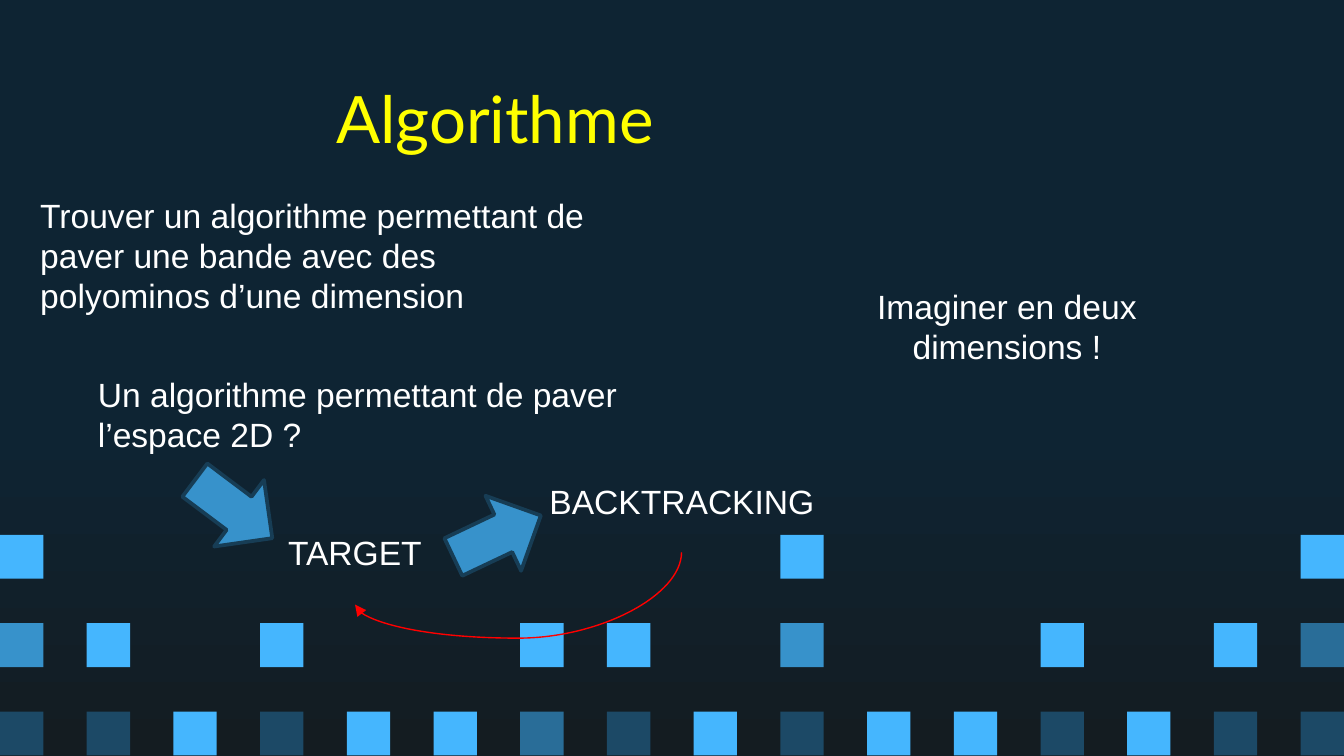
import pptx
import pptx.dml.color
import pptx.enum.shapes
import pptx.enum.text
import pptx.oxml
import pptx.oxml.ns
import pptx.util
from lxml import etree

Cm = pptx.util.Cm
Pt = pptx.util.Pt
Shape = pptx.enum.shapes.MSO_SHAPE
Anchor = pptx.enum.text.MSO_ANCHOR
Align = pptx.enum.text.PP_ALIGN
qn = pptx.oxml.ns.qn

WIDTH, HEIGHT = 25.4, 14.29

# Tile pattern: one letter per column, a dot for an empty place
TILE_COLOURS = {"B": "45B6FE", "M": "3792CB", "S": "296D98", "D": "1C4966"}
TILE_ROWS = [
    "B........B.....B",
    "MB.B..BB.M..B.BS",
    "DDBDBBSDBDBBDBDD",
]
TILE_WIDTH, TILE_HEIGHT = WIDTH / 31, 0.83
TILES_TOP, ROW_PITCH = 10.11, 1.67


def colour(value):
    return pptx.dml.color.RGBColor.from_string(value)


def write(box, text, font="Arial", size=18, ink="FFFFFF", align=Align.LEFT,
          anchor=Anchor.MIDDLE, inset=0.25, after=0):
    frame = box.text_frame
    frame.word_wrap = True
    frame.auto_size = pptx.enum.text.MSO_AUTO_SIZE.NONE
    frame.vertical_anchor = anchor
    frame.margin_left = frame.margin_right = Cm(0.25)
    frame.margin_top = frame.margin_bottom = Cm(inset)
    para = frame.paragraphs[0]
    para.alignment = align
    para.space_before, para.space_after = Pt(0), Pt(after)
    span = para.add_run()
    span.text = text
    span.font.name, span.font.size = font, Pt(size)
    span.font.color.rgb = colour(ink)
    return para


class SlideBuilder:
    arrow_fill, arrow_line, curve_line = "3792CB", "173D55", "FF0000"

    def __init__(self, page):
        self.page = page

    def background(self, top, bottom):
        fill = self.page.background.fill
        fill.gradient()
        fill.gradient_angle = 270
        for stop, value, position in zip(fill.gradient_stops, (top, bottom), (0.56, 1)):
            stop.color.rgb = colour(value)
            stop.position = position

    def placeholder(self, index, place, text, **style):
        box = self.page.placeholders[index]
        box.left, box.top, box.width, box.height = map(Cm, place)
        return write(box, text, **style)

    def plain_body(self, place, text, **style):
        para = self.placeholder(1, place, text, **style)
        properties = para._p.get_or_add_pPr()
        properties.set("marL", "0")
        properties.set("indent", "0")
        etree.SubElement(properties, qn("a:buNone"))

    def text(self, place, text, **style):
        write(self.page.shapes.add_textbox(*map(Cm, place)), text, **style)

    def shape(self, kind, place, fill):
        shape = self.page.shapes.add_shape(kind, *map(Cm, place))
        shape.shadow.inherit = False
        shape.fill.solid()
        shape.fill.fore_color.rgb = colour(fill)
        shape.line.fill.background()
        return shape

    def tiles(self):
        for row, pattern in enumerate(TILE_ROWS):
            for column, letter in enumerate(pattern):
                if letter in TILE_COLOURS:
                    place = (2 * TILE_WIDTH * column, TILES_TOP + ROW_PITCH * row,
                             TILE_WIDTH, TILE_HEIGHT)
                    self.shape(Shape.RECTANGLE, place, TILE_COLOURS[letter])

    def block_arrow(self, left, top, rotation):
        arrow = self.shape(Shape.DOWN_ARROW, (left, top, 1.57, 1.83), self.arrow_fill)
        arrow.rotation = rotation
        arrow.line.color.rgb = colour(self.arrow_line)
        arrow.line.width = Pt(2)

    def curved_arrow(self, begin, end, bend):
        """Join two corners of the frame, which is then turned by 90 degrees."""
        curve = self.page.shapes.add_connector(
            pptx.enum.shapes.MSO_CONNECTOR.CURVE, *map(Cm, begin + end))
        curve.line.color.rgb = colour(self.curve_line)
        curve.line.width = Pt(0.75)
        properties = curve._element.spPr
        properties.find(qn("a:xfrm")).set("rot", str(90 * 60000))
        guides = properties.find(qn("a:prstGeom")).get_or_add_avLst()
        etree.SubElement(guides, qn("a:gd"), name="adj1", fmla=f"val {round(bend * 100000)}")
        etree.SubElement(properties.find(qn("a:ln")), qn("a:tailEnd"), type="triangle")
        etree.SubElement(properties, qn("a:effectLst"))


def main():
    deck = pptx.Presentation()
    deck.slide_width, deck.slide_height = Cm(WIDTH), Cm(HEIGHT)
    slide = SlideBuilder(deck.slides.add_slide(deck.slide_layouts[1]))

    # Backdrop
    slide.background("0E2433", "141C21")
    slide.tiles()

    # Title and statements
    slide.placeholder(0, (6.1, 1.07, 12.93, 2.31), "Algorithme",
                      font="Lato", size=35, ink="FFFF00")
    slide.plain_body((0.51, 3.43, 11.35, 3.18),
                     "Trouver un algorithme permettant de paver une bande avec des "
                     "polyominos d’une dimension", anchor=Anchor.TOP, after=10)
    slide.text((15.65, 5.18, 6.76, 1.98), "Imaginer en deux dimensions !", align=Align.CENTER)
    slide.text((1.6, 6.93, 10.59, 1.8), "Un algorithme permettant de paver l’espace 2D ?",
               anchor=Anchor.TOP, inset=0.13)

    # Steps and the arrows between them
    slide.text((5.11, 9.45, 3.2, 1.98), "TARGET", align=Align.CENTER)
    slide.text((10.06, 8.48, 5.66, 1.98), "BACKTRACKING", align=Align.CENTER)
    slide.block_arrow(3.63, 8.71, 306.9)
    slide.block_arrow(8.61, 9.22, 244.6)
    slide.curved_arrow((9.3, 7.85), (10.29, 14.02), bend=1.64)

    deck.save("out.pptx")


if __name__ == "__main__":
    main()
